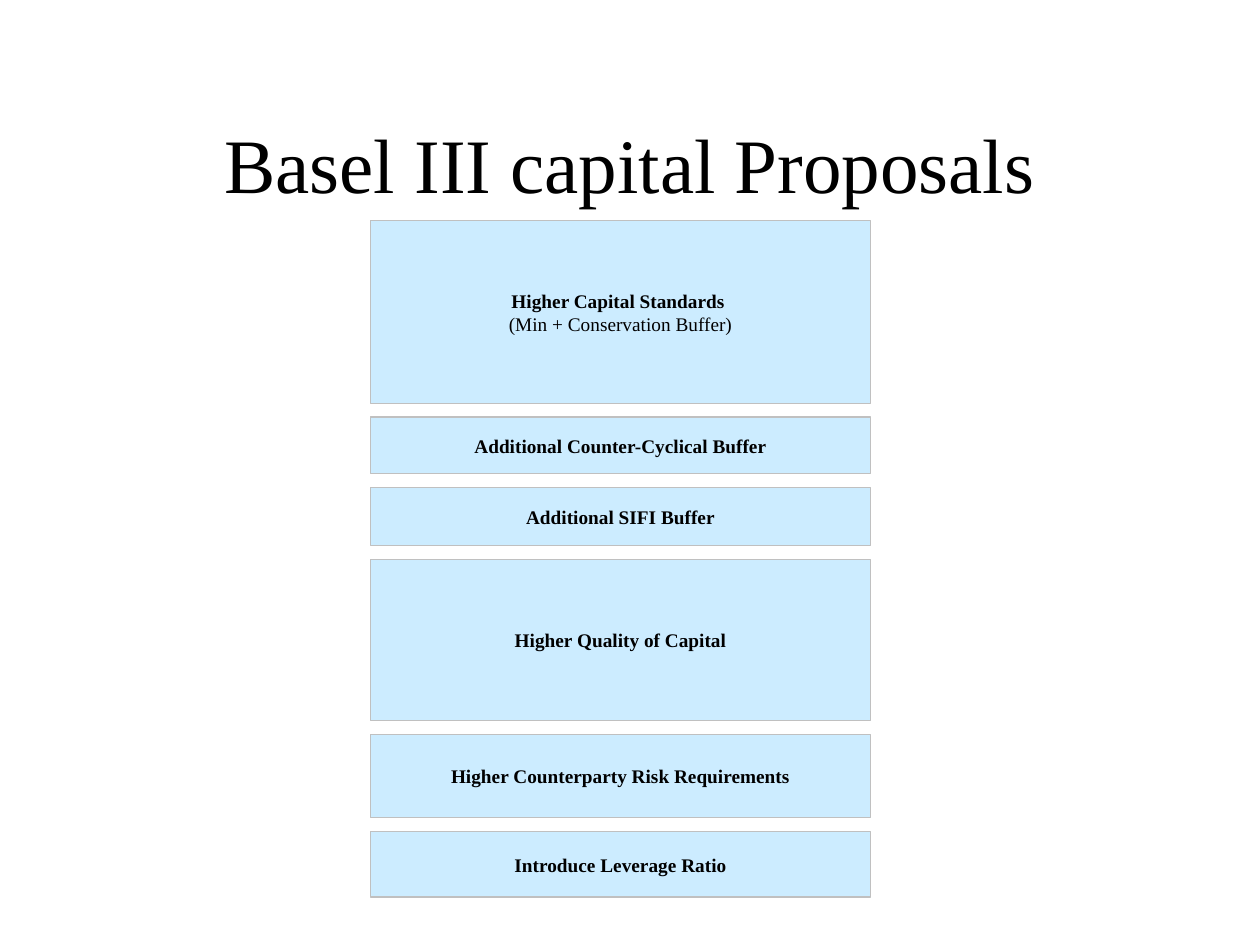
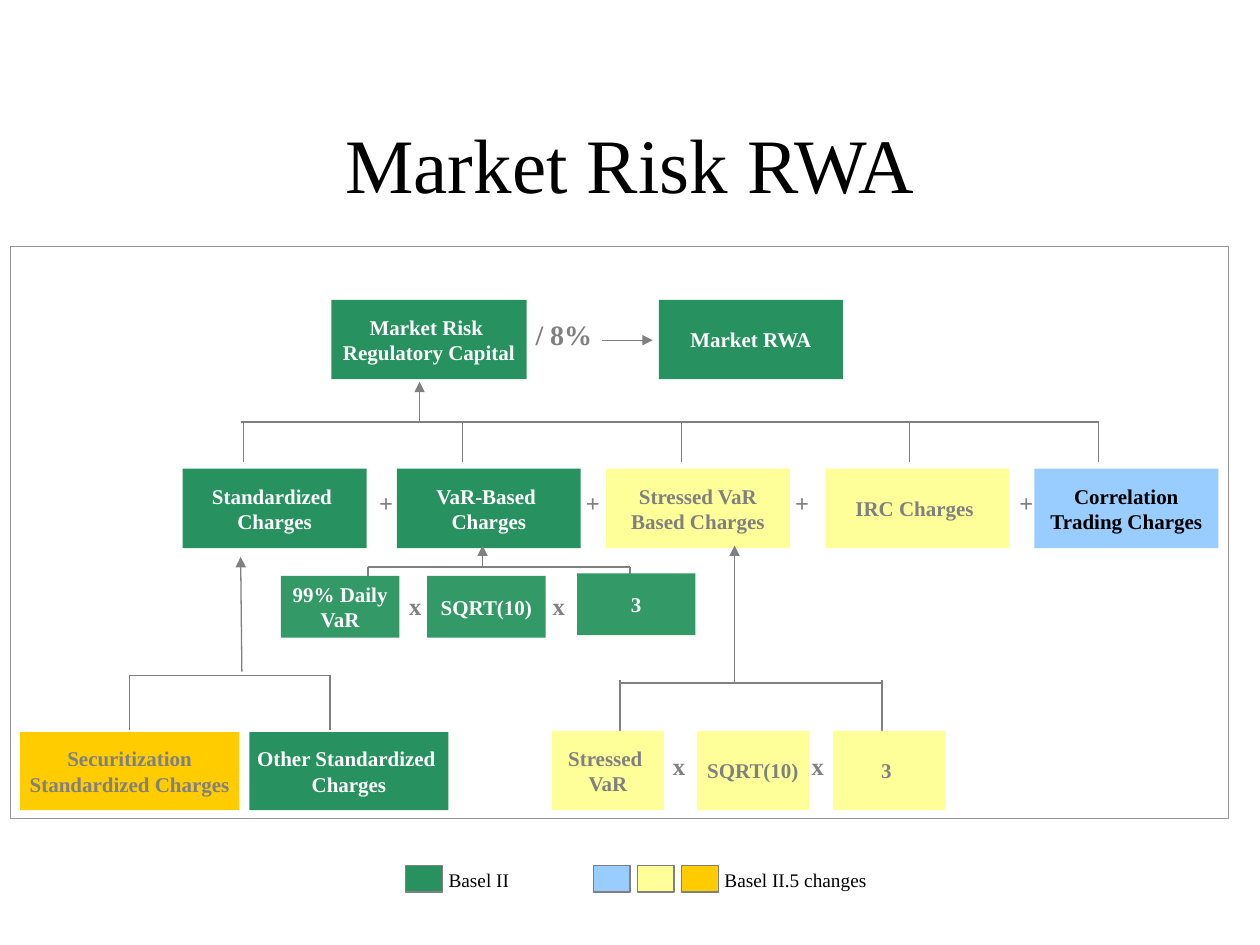
from dataclasses import dataclass

from pptx import Presentation
from pptx.dml.color import RGBColor as Rgb
from pptx.enum.shapes import MSO_CONNECTOR as Conn, MSO_SHAPE as Form
from pptx.enum.text import MSO_ANCHOR as Anchor, MSO_AUTO_SIZE as Fit, PP_ALIGN as Align
from pptx.oxml.ns import qn
from pptx.shapes.autoshape import Shape
from pptx.slide import Slide
from pptx.text.text import TextFrame
from pptx.util import Inches, Pt
from lxml.etree import SubElement

FONT = "Times New Roman"
HUES = {
    "black": "000000", "white": "FFFFFF", "gray": "808080",
    "frame": "969696", "edge": "C0C0C0", "pale": "CCECFF",
    "green": "27915F", "mint": "339966", "yellow": "FFFF99",
    "gold": "FFCC00", "blue": "99CCFF",
}
INKS = {"green": "white", "mint": "white", "yellow": "gray",
        "gold": "gray", "blue": "black", "pale": "black"}


@dataclass
class Layer:
    text: str
    height: float
    note: str = ""


@dataclass
class Row:
    """Boxes of one size on one level: (left, hue, text)."""
    top: float
    width: float
    height: float
    cells: list[tuple[float, str, str]]


@dataclass
class Signs:
    mark: str
    top: float
    height: float
    width: float
    lefts: list[float]


@dataclass
class Fork:
    """A bar with drops below it and an arrow from foot to head."""
    span: tuple[float, float]
    level: float
    drops: list[float]
    base: float
    foot: tuple[float, float]
    head: tuple[float, float]
    rise: float = 0


LAYERS = [
    Layer("Higher Capital Standards ", 1.45, "(Min + Conservation Buffer)"),
    Layer("Additional Counter-Cyclical Buffer", 0.45),
    Layer("Additional SIFI Buffer", 0.46),
    Layer("Higher Quality of Capital", 1.28),
    Layer("Higher Counterparty Risk Requirements", 0.66),
    Layer("Introduce Leverage Ratio", 0.52),
]
ROWS = [
    Row(2.38, 1.55, 0.63, [(2.63, "green", "Market Risk \nRegulatory Capital")]),
    Row(2.38, 1.46, 0.63, [(5.23, "green", "Market RWA")]),
    Row(3.72, 1.46, 0.63, [
        (1.45, "green", "Standardized \nCharges"),
        (3.15, "green", "VaR-Based \nCharges"),
        (4.81, "yellow", "Stressed VaR\nBased Charges"),
        (6.55, "yellow", "IRC Charges "),
        (8.21, "blue", "Correlation\nTrading Charges"),
    ]),
    Row(4.57, 0.94, 0.49, [(2.23, "mint", "99% Daily\nVaR"),
                           (3.39, "mint", "SQRT(10)")]),
    Row(4.55, 0.94, 0.49, [(4.58, "mint", "3")]),
    Row(5.81, 1.74, 0.62, [(0.16, "gold", "Securitization\nStandardized Charges")]),
    Row(5.81, 1.58, 0.62, [(1.98, "green", "Other Standardized \nCharges")]),
    Row(5.8, 0.89, 0.63, [
        (4.38, "yellow", "Stressed \nVaR"),
        (5.53, "yellow", "SQRT(10)"),
        (6.61, "yellow", "3 "),
    ]),
]
SIGNS = [
    Signs("+", 3.87, 0.3, 0.11, [3.01, 4.65, 6.31, 8.09]),
    Signs("x", 4.69, 0.23, 0.11, [3.24, 4.38]),
    Signs("x", 5.96, 0.3, 0.1, [5.34, 6.44]),
]
FORKS = [
    Fork((1.91, 8.72), 3.35, [1.93, 3.67, 5.41, 7.22, 8.72], 3.67,
         (3.33, 3.35), (3.33, 3.03)),
    Fork((2.92, 5), 4.5, [2.92, 5], 4.58, (3.83, 4.5), (3.83, 4.33)),
    Fork((1.03, 2.62), 5.36, [1.03, 2.62], 5.79, (1.92, 5.33), (1.91, 4.42)),
    Fork((4.92, 7), 5.42, [4.92, 7], 5.83, (5.83, 5.42), (5.83, 4.33), 0.02),
]


def color(name: str) -> Rgb:
    return Rgb.from_string(HUES[name])


def write(frame: TextFrame, texts: list[str], size: float, ink: str,
          bold: bool = False, align: Align = Align.CENTER) -> None:
    for i, text in enumerate(texts):
        par = frame.paragraphs[0] if i == 0 else frame.add_paragraph()
        par.text = text
        par.alignment = align
        font = par.font
        font.name, font.size, font.bold = FONT, Pt(size), bold
        font.color.rgb = color(ink)


def strip(frame: TextFrame) -> None:
    """Remove insets and wrapping."""
    frame.margin_left = frame.margin_right = 0
    frame.margin_top = frame.margin_bottom = 0
    frame.word_wrap = False


def add_box(slide: Slide, left: float, top: float, width: float, height: float,
            fill: str = "", edge: str = "", weight: float = 0) -> Shape:
    box = slide.shapes.add_shape(Form.RECTANGLE, Inches(left), Inches(top),
                                 Inches(width), Inches(height))
    box.shadow.inherit = False
    if fill:
        box.fill.solid()
        box.fill.fore_color.rgb = color(fill)
    else:
        box.fill.background()
    if edge:
        box.line.color.rgb = color(edge)
        box.line.width = Pt(weight)
    else:
        box.line.fill.background()
    box.text_frame.vertical_anchor = Anchor.MIDDLE
    return box


def add_label(slide: Slide, text: str, left: float, top: float, width: float,
              height: float, size: float, ink: str, bold: bool = False,
              align: Align = Align.CENTER) -> None:
    label = slide.shapes.add_textbox(Inches(left), Inches(top),
                                     Inches(width), Inches(height))
    frame = label.text_frame
    strip(frame)
    frame.auto_size = Fit.SHAPE_TO_FIT_TEXT
    write(frame, [text], size, ink, bold, align)


def add_line(slide: Slide, start: tuple[float, float], end: tuple[float, float],
             arrow: bool = False) -> None:
    line = slide.shapes.add_connector(Conn.STRAIGHT, *map(Inches, start + end))
    line.line.color.rgb = color("gray")
    line.line.width = Pt(0.75)
    props = line._element.spPr
    if arrow:
        SubElement(props.find(qn("a:ln")), qn("a:tailEnd"), type="triangle")
    SubElement(props, qn("a:effectLst"))


def add_slide(deck: Presentation, text: str) -> Slide:
    slide = deck.slides.add_slide(deck.slide_layouts[5])
    title = slide.shapes.title
    title.left, title.top = Inches(0.75), Inches(0.67)
    title.width, title.height = Inches(8.5), Inches(1.25)
    title.text_frame.vertical_anchor = Anchor.MIDDLE
    write(title.text_frame, [text], 44, "black")
    return slide


def build_stack(deck: Presentation) -> None:
    slide = add_slide(deck, "Basel III capital Proposals")
    top, gap = 1.75, 0.11
    for layer in LAYERS:
        box = add_box(slide, 2.94, top, 3.97, layer.height, "pale", "edge", 0.75)
        frame = box.text_frame
        write(frame, [layer.text], 11, INKS["pale"], True)
        if layer.note:
            write(frame, [layer.text, layer.note], 11, INKS["pale"])
            frame.paragraphs[0].font.bold = True
        top += layer.height + gap


def build_legend(slide: Slide) -> None:
    lefts = {"green": 3.22}
    lefts |= {hue: 4.71 + 0.35 * i for i, hue in enumerate(["blue", "yellow", "gold"])}
    for hue, left in lefts.items():
        add_box(slide, left, 6.87, 0.29, 0.21, hue, "gray")
    for text, left, width in [("Basel II", 3.56, 0.55),
                              ("Basel II.5 changes", 5.75, 1.27)]:
        add_label(slide, text, left, 6.89, width, 0.18, 11, "black", align=Align.LEFT)


def build_tree(deck: Presentation) -> None:
    slide = add_slide(deck, "Market Risk RWA")
    add_box(slide, 0.08, 1.96, 9.67, 4.54, edge="frame", weight=0.5)
    for fork in FORKS:
        left, right = fork.span
        add_line(slide, (left, fork.level), (right, fork.level))
        for x in fork.drops:
            add_line(slide, (x, fork.level - fork.rise), (x, fork.base))
    for row in ROWS:
        for left, hue, text in row.cells:
            box = add_box(slide, left, row.top, row.width, row.height, hue)
            strip(box.text_frame)
            write(box.text_frame, [text], 12, INKS[hue], True)
    for fork in FORKS:
        add_line(slide, fork.foot, fork.head, arrow=True)
    for sign in SIGNS:
        for left in sign.lefts:
            add_label(slide, sign.mark, left, sign.top, sign.width, sign.height,
                      14, "gray", True)
    add_label(slide, "/ 8%", 4.25, 2.52, 0.45, 0.25, 16, "gray", True, Align.LEFT)
    add_line(slide, (4.78, 2.7), (5.18, 2.7), arrow=True)
    build_legend(slide)


def main() -> None:
    deck = Presentation()
    deck.slide_width, deck.slide_height = Inches(10), Inches(7.5)
    build_stack(deck)
    build_tree(deck)
    deck.save("out.pptx")


if __name__ == "__main__":
    main()
